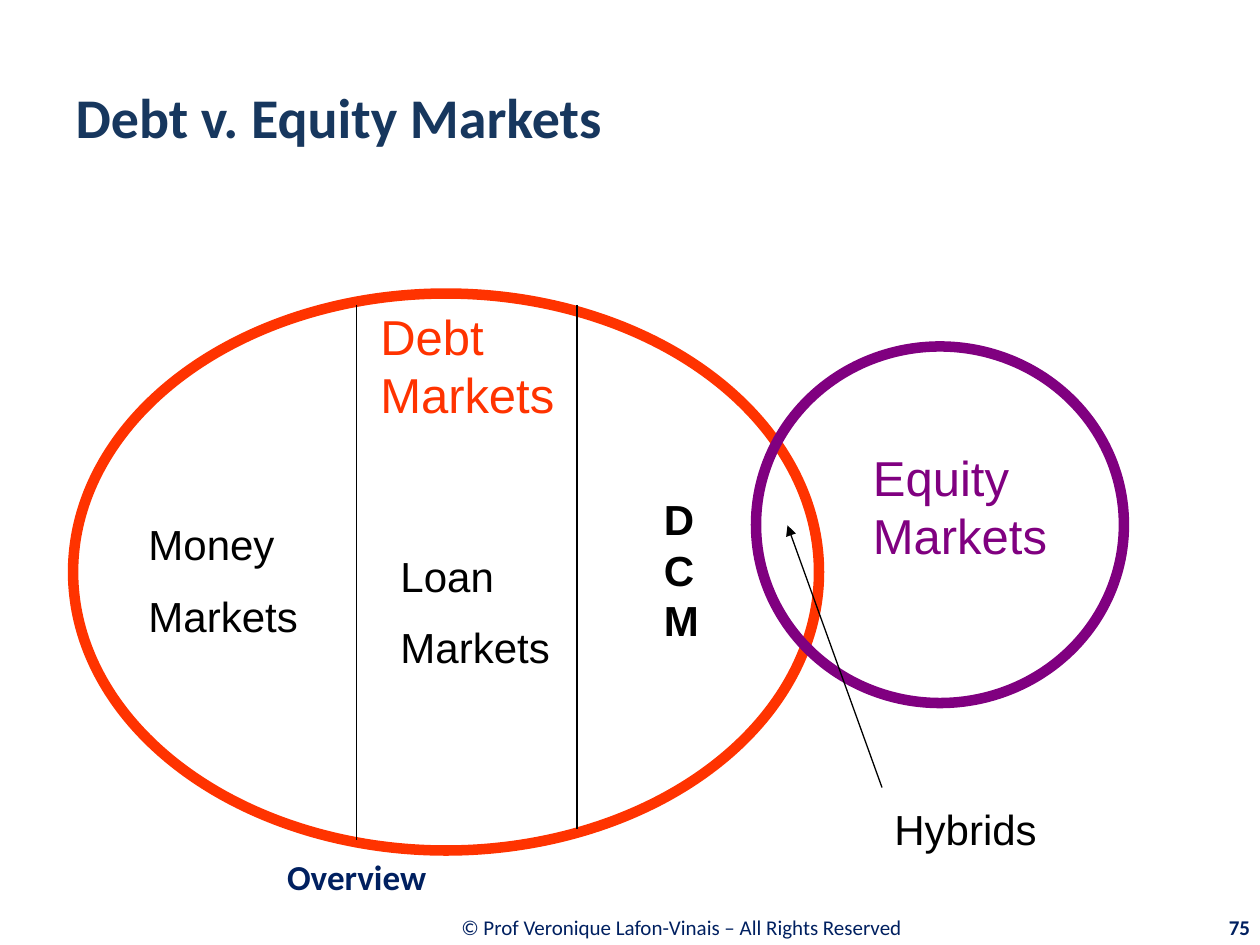
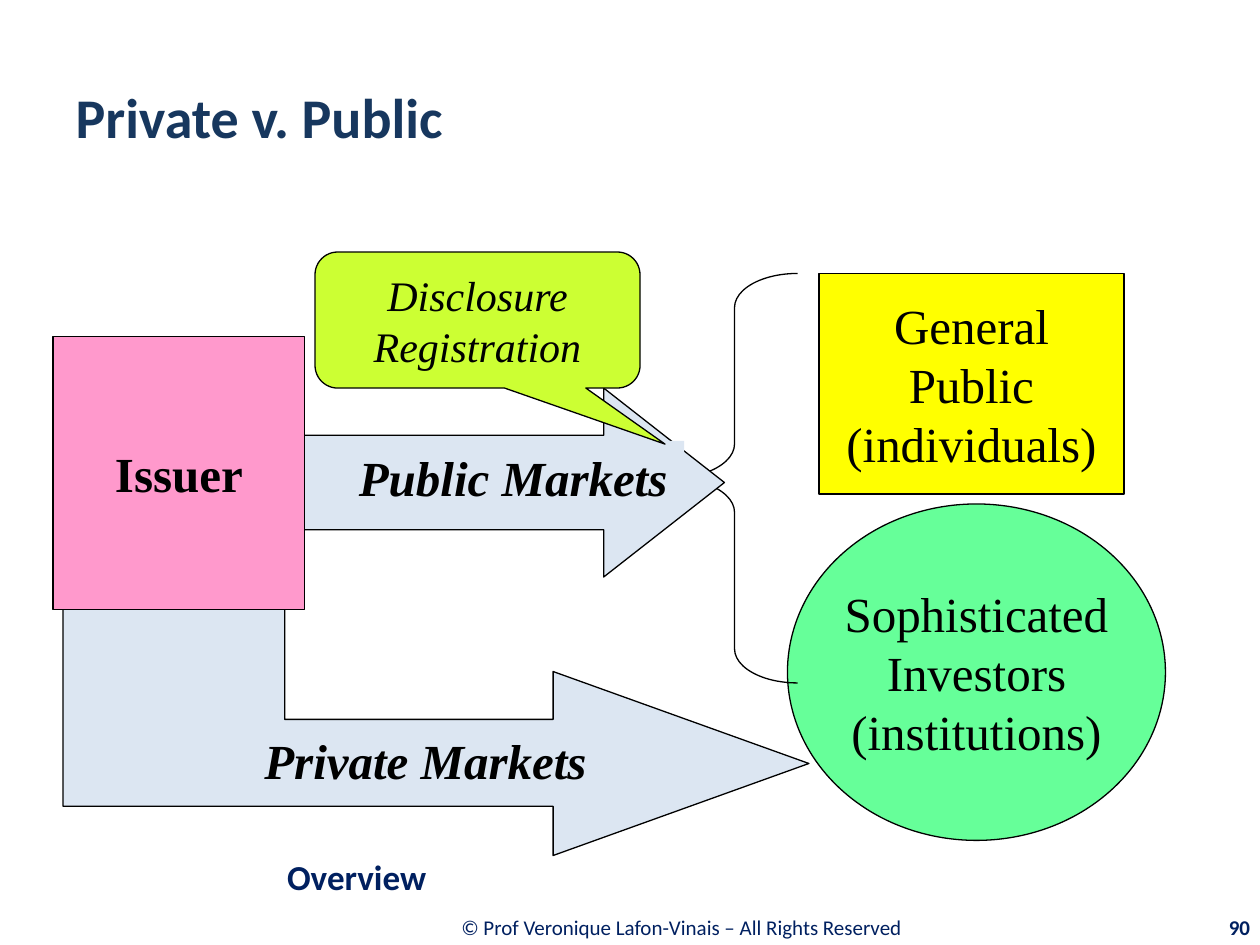
import pptx
import pptx.util
import pptx.dml.color
import pptx.enum.shapes
import pptx.enum.text
import pptx.oxml
import pptx.oxml.ns

SHAPE = pptx.enum.shapes.MSO_SHAPE
ALIGN = pptx.enum.text.PP_ALIGN
ANCHOR = pptx.enum.text.MSO_ANCHOR
Inches = pptx.util.Inches
Pt = pptx.util.Pt

COLORS = {
    "navy": "002060", "title": "17375E", "black": "000000",
    "debt": "FF3300", "equity": "800080", "arrow": "DCE6F2",
    "public": "FFFF00", "investors": "66FF99", "issuer": "FF99CC", "callout": "CCFF33",
}
SANS = {"name": "Arial", "size": 24, "color": "black"}
SERIF = {"name": "Times New Roman", "size": 28, "color": "black"}
BRAND = {"name": "Calibri", "size": 12, "color": "navy"}
TITLE = {"name": "Calibri", "size": 32, "color": "title", "bold": True}
MARKET = SERIF | {"bold": True, "italic": True}

TITLE_BOX = (0.5, 0.3, 9, 1.25)
FOOTERS = [
    ((2.17, 7.16, 6.48, 0.39), "© Prof Veronique Lafon-Vinais – All Rights Reserved", BRAND, ALIGN.CENTER),
    ((2.18, 6.72, 7.82, 0.47), "Overview", BRAND | {"size": 20, "bold": True}, ALIGN.LEFT),
]
NUMBER_BOX = (9.01, 7.2, 1.01, 0.32)

CIRCLES = [
    ((0.58, 2.33, 5.92, 4.42), "debt"),
    ((6, 2.75, 2.92, 2.83), "equity"),
]
LINES = [
    ((2.83, 2.42, 2.83, 6.67), False),
    ((4.58, 2.42, 4.58, 6.58), False),
    ((7, 6.25, 6.25, 4.17), True),
]
LABELS = [
    ((7, 6.33, 1.33, 0.5), ["Hybrids"], SANS),
    ((6.83, 3.5, 1.92, 1.03), ["Equity Markets"], SANS | {"size": 28, "color": "equity"}),
    ((2.92, 2.38, 1.83, 1.03), ["Debt Markets"], SANS | {"size": 28, "color": "debt"}),
    ((1.08, 4.07, 1.5, 1.1), ["Money", "Markets"], SANS),
    ((3.08, 4.32, 1.42, 1.1), ["Loan", "Markets"], SANS),
    ((5.17, 3.87, 0.5, 1.3), ["DCM"], SANS | {"bold": True}),
]

PRIVATE_ARROW = [
    (6.42, 6.06), (4.39, 5.33), (4.39, 5.71), (2.26, 5.71), (2.26, 4.08),
    (0.5, 4.08), (0.5, 6.4), (4.39, 6.4), (4.39, 6.79),
]
PRIVATE_LABEL = ((2, 5.75, 2.92, 0.57), ["Private Markets"], MARKET)
PUBLIC_LABEL = ((2.75, 3.5, 2.68, 0.57), ["Public Markets"], MARKET)
INVESTORS = [
    (SHAPE.RECTANGLE, (6.5, 2.17, 2.42, 1.75), "public", [], ["General", "Public", "(individuals)"], SERIF),
    (SHAPE.OVAL, (6.25, 4, 3, 2.67), "investors", [], ["Sophisticated", "Investors", "(institutions)"], SERIF),
    (SHAPE.LEFT_BRACE, (5.33, 2.17, 1, 3.25), None, [0.271, 0.5], [], SERIF),
    (SHAPE.NOTCHED_RIGHT_ARROW, (1.92, 3.08, 3.83, 1.5), "arrow", [0.5, 0.639], [], SERIF),
]
ISSUER = [
    (SHAPE.RECTANGLE, (0.42, 2.67, 2, 2.17), "issuer", [], ["Issuer"], SERIF | {"bold": True}),
    (SHAPE.ROUNDED_RECTANGULAR_CALLOUT, (2.5, 2, 2.58, 1.08), "callout", [0.577, 0.912, 0.167],
     ["Disclosure", "Registration"], SERIF | {"size": 24, "italic": True}),
]


def rgb(name):
    return pptx.dml.color.RGBColor.from_string(COLORS[name])


def write(sp, lines, style, align=ALIGN.LEFT, anchor=ANCHOR.TOP, wrap=True, gap=0):
    tf = sp.text_frame
    frame = {"word_wrap": wrap, "vertical_anchor": anchor, "auto_size": pptx.enum.text.MSO_AUTO_SIZE.NONE}
    for key, value in frame.items():
        setattr(tf, key, value)
    for i, line in enumerate(lines):
        p = tf.paragraphs[0] if i == 0 else tf.add_paragraph()
        p.alignment = align
        if i and gap:
            p.space_before = Pt(gap)
        r = p.add_run()
        r.text = line
        for key, value in style.items():
            if key == "color":
                r.font.color.rgb = rgb(value)
            else:
                setattr(r.font, key, Pt(value) if key == "size" else value)


def paint(sp, fill=None, line="black", width=0.75):
    sp.shadow.inherit = False
    if fill:
        sp.fill.solid()
        sp.fill.fore_color.rgb = rgb(fill)
    else:
        sp.fill.background()
    if line:
        sp.line.color.rgb = rgb(line)
        sp.line.width = Pt(width)
    else:
        sp.line.fill.background()


def add_text(s, box, lines, style, **layout):
    sp = s.shapes.add_textbox(*map(Inches, box))
    write(sp, lines, style, **layout)


def add_block(s, kind, box, fill, adjustments, lines, style):
    sp = s.shapes.add_shape(kind, *map(Inches, box))
    for i, value in enumerate(adjustments):
        sp.adjustments[i] = value
    paint(sp, fill)
    if lines:
        write(sp, lines, style, align=ALIGN.CENTER, anchor=ANCHOR.MIDDLE, wrap=False)


def add_line(s, ends, arrow):
    c = s.shapes.add_connector(pptx.enum.shapes.MSO_CONNECTOR.STRAIGHT, *map(Inches, ends))
    c.line.color.rgb = rgb("black")
    c.line.width = Pt(0.75)
    props = c._element.spPr
    if arrow:
        tip = pptx.oxml.parse_xml(f'<a:tailEnd {pptx.oxml.ns.nsdecls("a")} type="triangle"/>')
        props.get_or_add_ln().append(tip)
    props.append(pptx.oxml.parse_xml(f'<a:effectLst {pptx.oxml.ns.nsdecls("a")}/>'))


def add_slide(prs, title, number):
    s = prs.slides.add_slide(prs.slide_layouts[5])
    sp = s.shapes.title
    for key, value in zip(("left", "top", "width", "height"), TITLE_BOX):
        setattr(sp, key, Inches(value))
    write(sp, [title], TITLE, anchor=ANCHOR.MIDDLE)
    page = (NUMBER_BOX, number, BRAND | {"bold": True}, ALIGN.RIGHT)
    for box, text, style, align in FOOTERS + [page]:
        add_text(s, box, [text], style, align=align, anchor=ANCHOR.MIDDLE)
    return s


def draw_debt_equity(prs):
    s = add_slide(prs, "Debt v. Equity Markets", "75")
    for box, color in CIRCLES:
        paint(s.shapes.add_shape(SHAPE.OVAL, *map(Inches, box)), line=color, width=6)
    for ends, arrow in LINES:
        add_line(s, ends, arrow)
    for box, lines, style in LABELS:
        add_text(s, box, lines, style, gap=12)


def draw_private_public(prs):
    s = add_slide(prs, "Private v. Public", "90")
    start, *rest = [(Inches(x), Inches(y)) for x, y in PRIVATE_ARROW]
    outline = s.shapes.build_freeform(*start)
    outline.add_line_segments(rest, close=True)
    paint(outline.convert_to_shape(), "arrow")
    add_text(s, *PRIVATE_LABEL)
    for block in INVESTORS:
        add_block(s, *block)
    box, lines, style = PUBLIC_LABEL
    sp = s.shapes.add_shape(SHAPE.RECTANGLE, *map(Inches, box))
    paint(sp, "arrow", line=None)
    write(sp, lines, style, wrap=False)
    for block in ISSUER:
        add_block(s, *block)


def main():
    prs = pptx.Presentation()
    prs.slide_width, prs.slide_height = Inches(10), Inches(7.5)
    draw_debt_equity(prs)
    draw_private_public(prs)
    prs.save("out.pptx")


if __name__ == "__main__":
    main()
